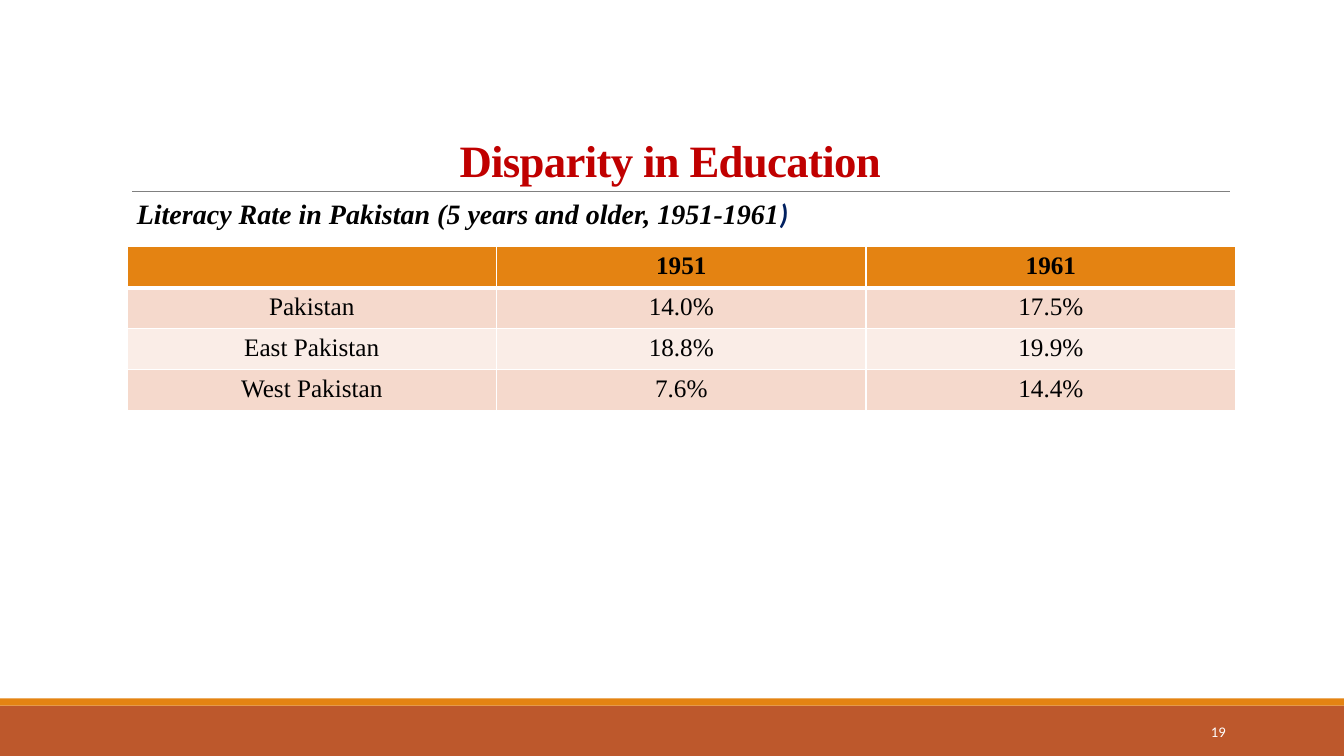
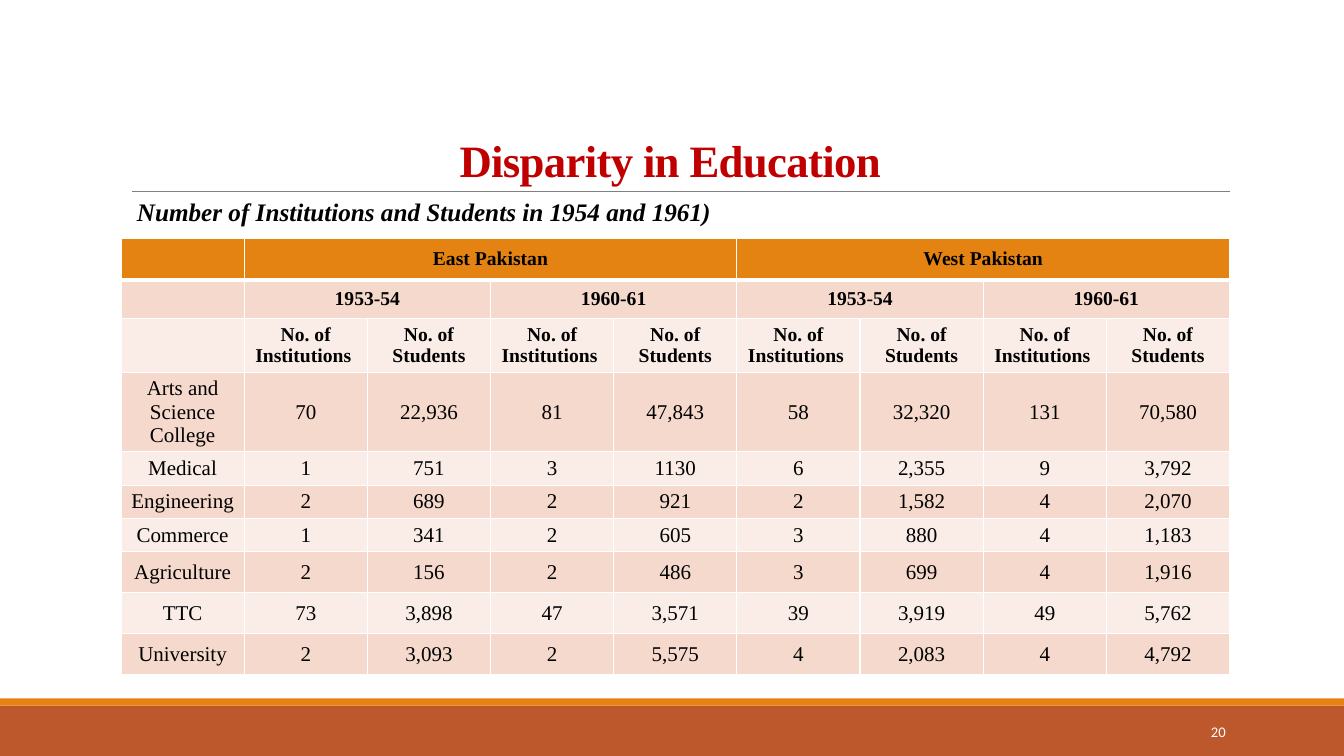
from lxml.etree import SubElement
from pptx import Presentation
from pptx.dml.color import RGBColor
from pptx.enum.shapes import MSO_CONNECTOR, MSO_SHAPE
from pptx.enum.text import MSO_ANCHOR as Anchor, PP_ALIGN as Align
from pptx.oxml.ns import qn
from pptx.util import Cm, Pt

RUST = RGBColor(0xBD, 0x58, 0x2C)
ORANGE = RGBColor(0xE4, 0x83, 0x12)
PEACH = RGBColor(0xF5, 0xD9, 0xCC)
PALE_PEACH = RGBColor(0xFA, 0xED, 0xE7)
RED = RGBColor(0xC0, 0x00, 0x00)
NAVY = RGBColor(0x00, 0x20, 0x60)
GREY = RGBColor(0x80, 0x80, 0x80)
BLACK = RGBColor(0x00, 0x00, 0x00)
WHITE = RGBColor(0xFF, 0xFF, 0xFF)

SERIF = "Times New Roman"
SANS = "Calibri"
TABLE_WIDTH = 27.94

LITERACY = [
    ["", "1951", "1961"],
    ["Pakistan", "14.0%", "17.5%"],
    ["East Pakistan", "18.8%", "19.9%"],
    ["West Pakistan", "7.6%", "14.4%"],
]
ENROLMENT = [
    ["", "East Pakistan", "", "", "", "West Pakistan", "", "", ""],
    ["", "1953-54", "", "1960-61", "", "1953-54", "", "1960-61", ""],
    [""] + ["No. of Institutions ", "No. of Students"] * 4,
    ["Arts and Science College", "70", "22,936", "81", "47,843", "58", "32,320", "131", "70,580"],
    ["Medical", "1", "751", "3", "1130", "6", "2,355", "9", "3,792"],
    ["Engineering", "2", "689", "2", "921", "2", "1,582", "4", "2,070"],
    ["Commerce", "1", "341", "2", "605", "3", "880", "4", "1,183"],
    ["Agriculture", "2", "156", "2", "486", "3", "699", "4", "1,916"],
    ["TTC", "73", "3,898", "47", "3,571", "39", "3,919", "49", "5,762"],
    ["University", "2", "3,093", "2", "5,575", "4", "2,083", "4", "4,792"],
]

# spans: header row -> number of columns that each of its labels covers
PAGES = [
    dict(number="19", size=20, ending=")", data=LITERACY,
         subtitle="Literacy Rate in Pakistan (5 years and older, 1951-1961",
         left=3.2, top=6.22, heights=[1.03] * 4, spans={},
         header_rows=1, header_size=18, body_size=18, anchor=Anchor.TOP),
    dict(number="20", size=18, ending="", data=ENROLMENT,
         subtitle="Number of Institutions and Students in 1954 and 1961)",
         left=3.05, top=6.02, spans={0: 4, 1: 2},
         heights=[1.03, 0.97, 1.36, 1.99] + [0.84] * 3 + [1.03] * 3,
         header_rows=3, header_size=14, body_size=15, anchor=Anchor.MIDDLE),
]


def write(frame, text, size=18, font=SERIF, color=BLACK, bold=False, italic=False,
          align=Align.LEFT, anchor=Anchor.TOP, line_spacing=None, tracking=None):
    """Append a formatted run to the first paragraph of a text frame."""
    frame.word_wrap = True
    frame.vertical_anchor = anchor
    paragraph = frame.paragraphs[0]
    paragraph.alignment = align
    paragraph.line_spacing = line_spacing
    run = paragraph.add_run()
    run.text = text
    run.font.size = Pt(size)
    run.font.name = font
    run.font.color.rgb = color
    run.font.bold = bold
    run.font.italic = italic
    if tracking is not None:
        run.font._element.set("spc", str(round(tracking * 100)))


def set_borders(cell, top, bottom):
    """Give a cell white borders; top and bottom are widths in points."""
    properties = cell._tc.get_or_add_tcPr()
    for side, width in (("L", 1), ("R", 1), ("T", top), ("B", bottom)):
        border = SubElement(properties, qn(f"a:ln{side}"), w=str(Pt(width)))
        fill = SubElement(border, qn("a:solidFill"))
        SubElement(fill, qn("a:srgbClr"), val=str(WHITE))


prs = Presentation()
prs.slide_width, prs.slide_height = Cm(33.87), Cm(19.05)

for page in PAGES:
    slide = prs.slides.add_slide(prs.slide_layouts[6])
    shapes = slide.shapes

    for top, height, color in ((17.78, 1.27, RUST), (17.6, 0.18, ORANGE)):
        band = shapes.add_shape(MSO_SHAPE.RECTANGLE, 0, Cm(top), prs.slide_width, Cm(height))
        band.shadow.inherit = False
        band.fill.solid()
        band.fill.fore_color.rgb = color
        band.line.fill.background()

    rule = shapes.add_connector(MSO_CONNECTOR.STRAIGHT, Cm(3.33), Cm(4.82), Cm(31), Cm(4.82))
    rule.line.color.rgb = GREY
    rule.line.width = Pt(0.5)
    SubElement(rule._element.spPr, qn("a:effectLst"))

    data = page["data"]
    columns = len(data[0])
    table = shapes.add_table(len(data), columns, Cm(page["left"]), Cm(page["top"]),
                             Cm(TABLE_WIDTH), Cm(sum(page["heights"]))).table
    for column in table.columns:
        column.width = Cm(TABLE_WIDTH / columns)
    for row, height in zip(table.rows, page["heights"]):
        row.height = Cm(height)
    for r, span in page["spans"].items():
        for c in range(1, columns, span):
            table.cell(r, c).merge(table.cell(r, c + span - 1))

    for r, values in enumerate(data):
        is_header = r < page["header_rows"]
        for c, value in enumerate(values):
            cell = table.cell(r, c)
            set_borders(cell, top=3 if r == 1 else 1, bottom=3 if r == 0 else 1)
            cell.fill.solid()
            cell.fill.fore_color.rgb = ORANGE if r == 0 else PEACH if r % 2 else PALE_PEACH
            if not cell.is_spanned:
                cell.vertical_anchor = page["anchor"]
                write(cell.text_frame, value, bold=is_header, align=Align.CENTER,
                      size=page["header_size"] if is_header else page["body_size"],
                      anchor=page["anchor"])

    number = shapes.add_textbox(Cm(27.51), Cm(17.93), Cm(3.63), Cm(1.02))
    write(number.text_frame, page["number"], size=10.5, font=SANS, color=WHITE,
          align=Align.RIGHT, anchor=Anchor.MIDDLE)

    title = shapes.add_textbox(Cm(3.05), Cm(2.46), Cm(TABLE_WIDTH), Cm(2.36))
    write(title.text_frame, "Disparity in Education ", size=32, color=RED, bold=True,
          align=Align.CENTER, anchor=Anchor.BOTTOM, line_spacing=0.85, tracking=-0.5)

    subtitle = shapes.add_textbox(Cm(3.2), Cm(4.82), Cm(23.55), Cm(1.1))
    write(subtitle.text_frame, page["subtitle"], size=page["size"], bold=True, italic=True)
    if page["ending"]:
        write(subtitle.text_frame, page["ending"], size=page["size"], font=SANS,
              color=NAVY, bold=True, italic=True)

prs.save("out.pptx")
